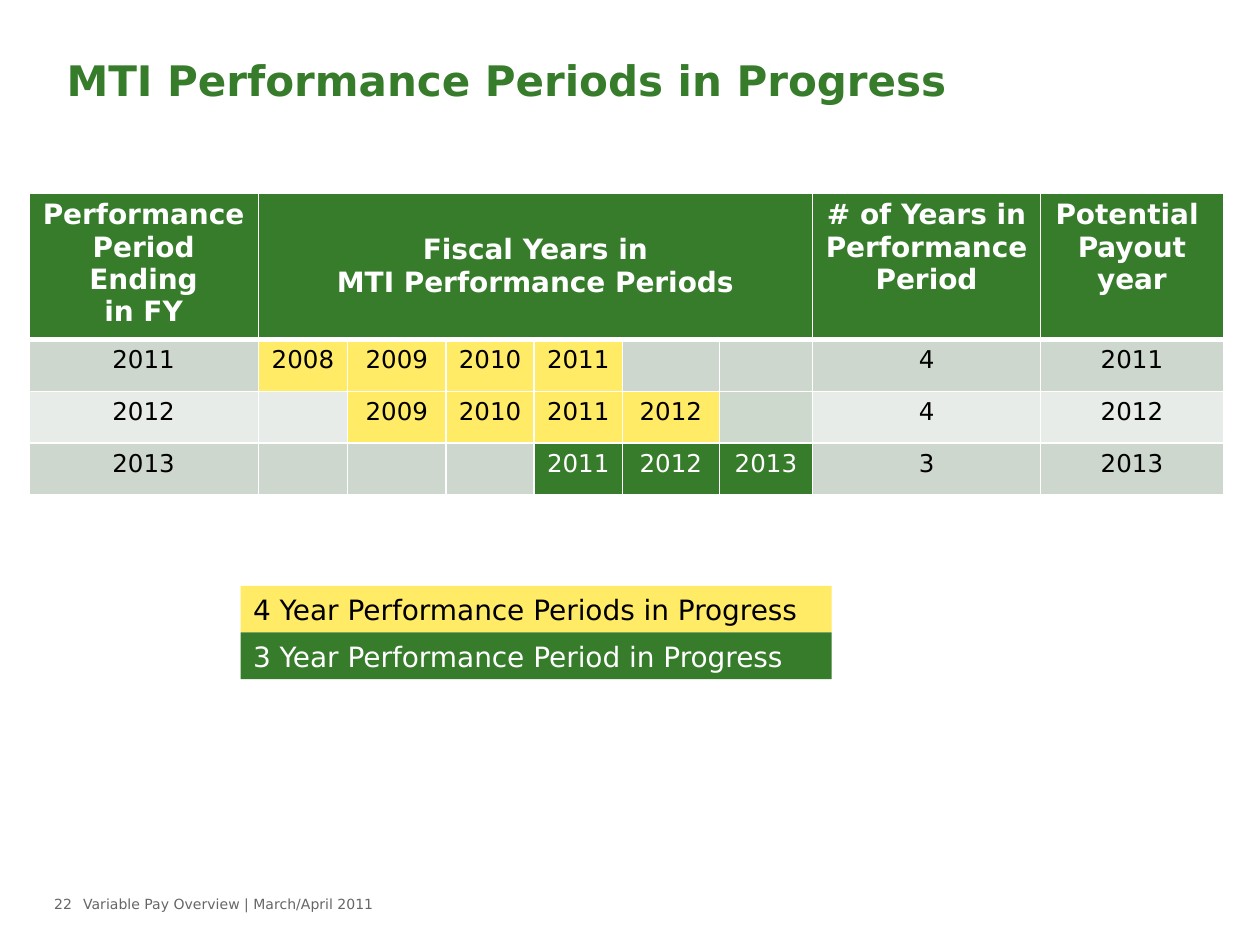
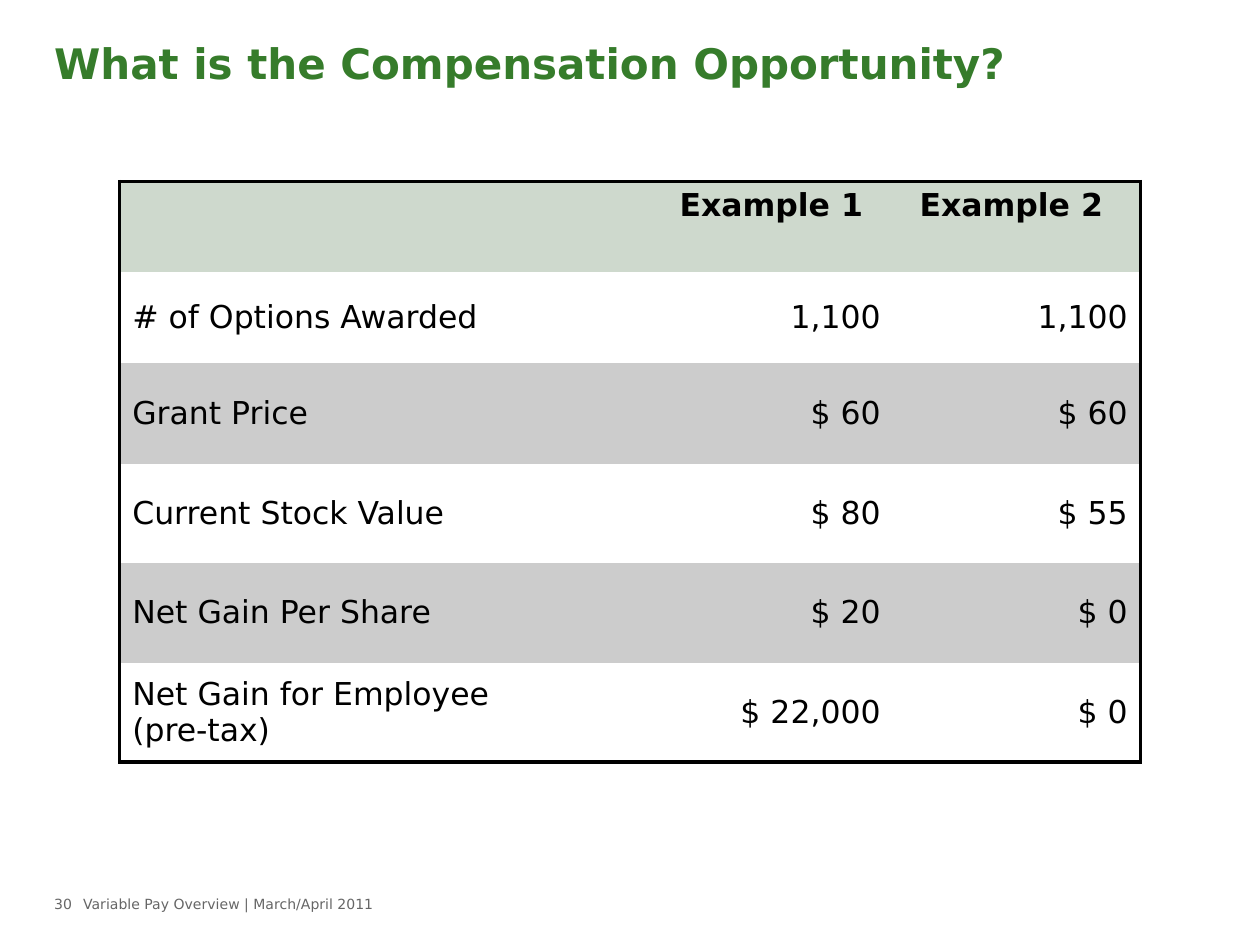
from lxml import etree
from pptx import Presentation, util as u
from pptx.dml.color import RGBColor
from pptx.enum import shapes, text
from pptx.oxml import ns

FONT = "DejaVu Sans"
COLOURS = {
    "green": "367C2B", "yellow": "FFEB66", "sage": "CED7CD",
    "mint": "CED9CD", "pale": "E8ECE8", "silver": "CCCCCC",
    "grey": "666666", "black": "000000", "white": "FFFFFF",
}
LEFT, CENTRE, RIGHT = text.PP_ALIGN.LEFT, text.PP_ALIGN.CENTER, text.PP_ALIGN.RIGHT
TOP, MIDDLE = text.MSO_ANCHOR.TOP, text.MSO_ANCHOR.MIDDLE
FOOTER = "Variable Pay Overview | March/April 2011"

PERIOD_COLUMNS = [1.82, 0.71, 0.78, 0.7, 0.7, 0.77, 0.74, 1.81, 1.45]
PERIOD_HEADER = {
    0: "Performance Period Ending\nin FY",
    1: "Fiscal Years in\nMTI Performance Periods",
    7: "# of Years in Performance Period",
    8: "Potential \nPayout year",
}
FIRST_YEAR, LAST_YEAR = 2008, 2013
PERIODS = [(2008, 2011), (2009, 2012), (2011, 2013)]

EXAMPLE_COLUMNS = [4.29, 1.85, 1.96]
EXAMPLE_ROWS = [0.72, 0.72, 0.8, 0.79, 0.79, 0.79]
EXAMPLES = [
    ("", "Example 1 ", "Example 2 "),
    ("# of Options Awarded", "1,100", "1,100"),
    ("Grant Price", "$ 60", "$ 60"),
    ("Current Stock Value", "$ 80", "$ 55"),
    ("Net Gain Per Share", "$ 20", "$ 0"),
    ("Net Gain for Employee\v(pre-tax)", "$ 22,000", "$ 0"),
]


def colour(name):
    return RGBColor.from_string(COLOURS[name])


def write(frame, wording, size, ink, bold=False, align=LEFT, spacing=None):
    frame.text = wording
    for paragraph in frame.paragraphs:
        paragraph.alignment = align
        if spacing:
            paragraph.line_spacing = u.Pt(spacing)
        for run in paragraph.runs:
            run.font.name = FONT
            run.font.size = u.Pt(size)
            run.font.bold = bold
            run.font.color.rgb = colour(ink)


def add_text(slide, box, wording, size, ink, inset=0, **style):
    shape = slide.shapes.add_textbox(*map(u.Inches, box))
    frame = shape.text_frame
    frame.word_wrap = True
    frame.margin_left = frame.margin_right = u.Inches(inset)
    write(frame, wording, size, ink, **style)


def add_title(slide, box, wording, inset=0):
    add_text(slide, box, wording, 24, "green", inset, bold=True, spacing=26)


def add_footer(slide, box, number):
    left, top, width, height = box
    number_width = 0.23
    add_text(slide, (left, top, number_width, height), str(number), 8, "grey")
    add_text(slide, (left + number_width, top, width - number_width, height),
             FOOTER, 8, "grey")


def add_grid(slide, box, columns, rows):
    frame = slide.shapes.add_table(len(rows), len(columns), *map(u.Inches, box))
    table = frame.table
    table.first_row = table.horz_banding = False
    for column, width in zip(table.columns, columns):
        column.width = u.Inches(width)
    for row, height in zip(table.rows, rows):
        row.height = u.Inches(height)
    return table


def set_borders(cell, ink, left=0, right=0, top=0, bottom=0):
    properties = cell._tc.get_or_add_tcPr()
    for side, width in zip("LRTB", (left, right, top, bottom)):
        line = etree.SubElement(properties, ns.qn(f"a:ln{side}"), w=str(u.Pt(width)))
        if width:
            fill = etree.SubElement(line, ns.qn("a:solidFill"))
            etree.SubElement(fill, ns.qn("a:srgbClr"), val=COLOURS[ink])
        else:
            etree.SubElement(line, ns.qn("a:noFill"))


def set_fill(cell, name):
    if name:
        cell.fill.solid()
        cell.fill.fore_color.rgb = colour(name)
    else:
        cell.fill.background()


def add_periods_table(slide, box):
    rows = [1.16] + [0.41] * len(PERIODS)
    table = add_grid(slide, box, PERIOD_COLUMNS, rows)
    table.cell(0, 1).merge(table.cell(0, 6))
    for column in range(len(PERIOD_COLUMNS)):
        cell = table.cell(0, column)
        set_borders(cell, "white", 1, 1, 1, 3)
        set_fill(cell, "green")
        if column in PERIOD_HEADER:
            write(cell.text_frame, PERIOD_HEADER[column], 16, "white", True, CENTRE)
    table.cell(0, 1).vertical_anchor = MIDDLE

    for row, (start, end) in enumerate(PERIODS, 1):
        length = end - start + 1
        base = "sage" if row % 2 else "pale"
        years = range(FIRST_YEAR, LAST_YEAR + 1)
        timeline = [year if start <= year <= end else "" for year in years]
        for column, value in enumerate([end, *timeline, length, end]):
            cell = table.cell(row, column)
            active = 1 <= column <= len(timeline) and value
            fill, ink = base, "black"
            if active:
                fill, ink = ("yellow", "black") if length == 4 else ("green", "white")
            elif (row, column) == (2, len(timeline)):
                fill = "mint"
            set_borders(cell, "white", 1, 1, 3 if row == 1 else 1, 1)
            set_fill(cell, fill)
            write(cell.text_frame, str(value), 14, ink, align=CENTRE)


def add_legend(slide, box):
    left, top, width, height = box
    entries = [("4 Year Performance Periods in Progress", "yellow", "black"),
               ("3 Year Performance Period in Progress", "green", "white")]
    step = height / len(entries)
    for index, (wording, fill, ink) in enumerate(entries):
        shape = slide.shapes.add_shape(
            shapes.MSO_SHAPE.RECTANGLE, u.Inches(left),
            u.Inches(top + index * step), u.Inches(width), u.Inches(step))
        shape.shadow.inherit = False
        shape.fill.solid()
        shape.fill.fore_color.rgb = colour(fill)
        shape.line.fill.background()
        shape.text_frame.word_wrap = True
        write(shape.text_frame, wording, 16, ink)


def add_examples_table(slide, box):
    table = add_grid(slide, box, EXAMPLE_COLUMNS, EXAMPLE_ROWS)
    last_row, last_column = len(EXAMPLE_ROWS) - 1, len(EXAMPLE_COLUMNS) - 1
    outline = 2.25
    for row, values in enumerate(EXAMPLES):
        header = row == 0
        fill = "mint" if header else "silver" if row in (2, 4) else None
        for column, value in enumerate(values):
            cell = table.cell(row, column)
            set_borders(cell, "black",
                        left=outline * (column == 0),
                        right=outline * (column == last_column),
                        top=outline * header,
                        bottom=outline * (row == last_row))
            set_fill(cell, fill)
            cell.vertical_anchor = TOP if header else MIDDLE
            align = CENTRE if header else RIGHT if column else LEFT
            write(cell.text_frame, value, 18, "black", header, align)


def add_slide(presentation, number):
    slide = presentation.slides.add_slide(presentation.slide_layouts[6])
    add_footer(slide, (0.43, 7.06, 6.18, 0.25), number)
    return slide


def build_periods_slide(presentation):
    slide = add_slide(presentation, 22)
    add_title(slide, (0.43, 0.42, 7.77, 0.47),
              "MTI Performance Periods in Progress", inset=0.1)
    add_periods_table(slide, (0.23, 1.53, 9.48, 2.38))
    add_legend(slide, (1.91, 4.65, 4.69, 0.74))


def build_opportunity_slide(presentation):
    slide = add_slide(presentation, 30)
    add_title(slide, (0.43, 0.29, 9.14, 0.79), "What is the Compensation Opportunity?")
    add_examples_table(slide, (0.95, 1.44, 8.1, 4.61))


def main():
    presentation = Presentation()
    presentation.slide_width = u.Inches(10)
    presentation.slide_height = u.Inches(7.5)
    build_periods_slide(presentation)
    build_opportunity_slide(presentation)
    presentation.save("out.pptx")


if __name__ == "__main__":
    main()
